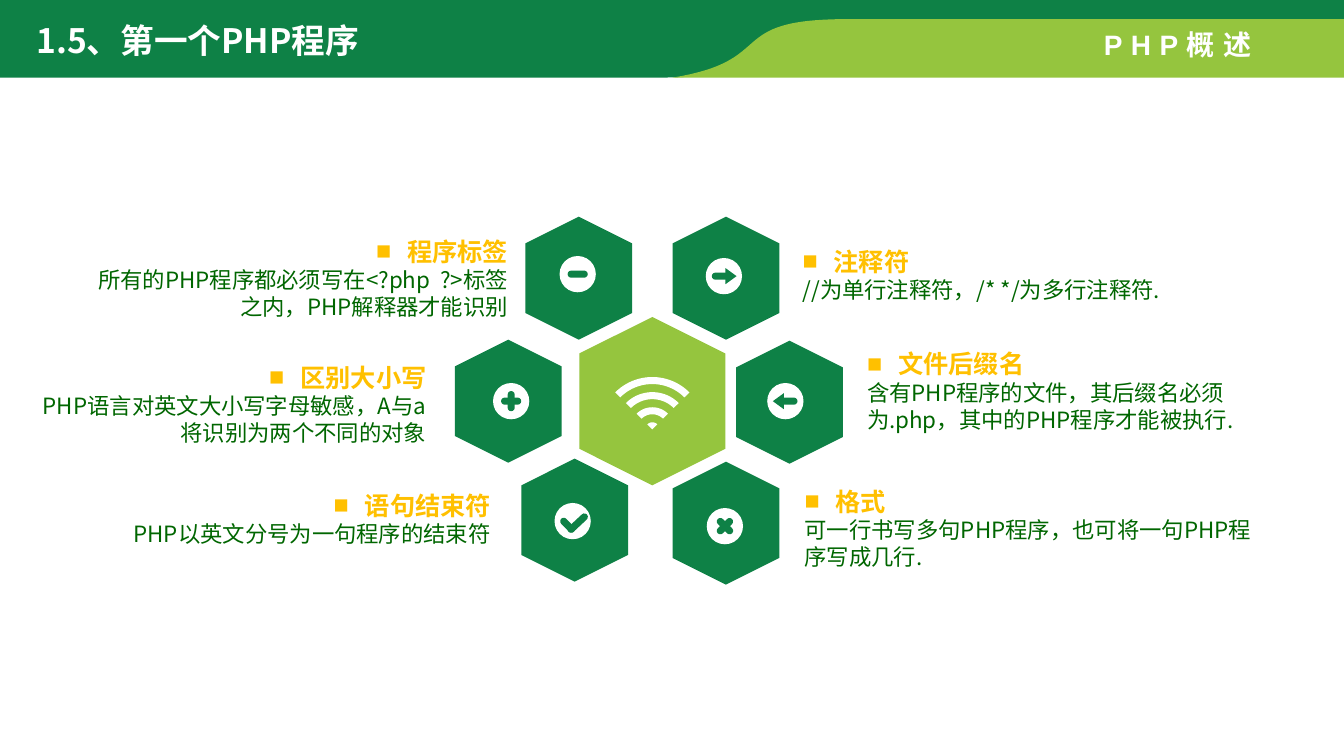
import math
import lxml.etree
import pptx
import pptx.dml.color
import pptx.enum.shapes
import pptx.enum.text
import pptx.oxml.ns
import pptx.util

Inches = pptx.util.Inches
SHAPE = pptx.enum.shapes.MSO_SHAPE
ALIGN = pptx.enum.text.PP_ALIGN
qn = pptx.oxml.ns.qn

# Content
COLORS = {"green": "0E8146", "lime": "95C53E", "white": "FFFFFF",
          "amber": "FFC000", "body": "006600"}
CJK_FONT = "Noto Sans CJK SC"
TITLE = "1.5、第一个PHP程序"
CHAPTER = "PHP概述"

# heading, heading font, body, text box (left, top, width, height), alignment
RULES = [
    ("程序标签", "Calibri", "所有的PHP程序都必须写在<?php  ?>标签之内，PHP解释器才能识别",
     (0.67, 2.27, 4.5, 0.98), ALIGN.RIGHT),
    ("区别大小写", "Arial", "PHP语言对英文大小写字母敏感，A与a将识别为两个不同的对象",
     (0.1, 3.52, 4.26, 0.98), ALIGN.RIGHT),
    ("语句结束符", "Arial", "PHP以英文分号为一句程序的结束符",
     (1.07, 4.79, 3.93, 0.71), ALIGN.RIGHT),
    ("文件后缀名", CJK_FONT, "含有PHP程序的文件，其后缀名必须为.php，其中的PHP程序才能被执行.",
     (8.47, 3.39, 3.93, 0.98), ALIGN.LEFT),
    ("注释符", CJK_FONT, "//为单行注释符，/* */为多行注释符.",
     (7.83, 2.37, 3.93, 0.71), ALIGN.LEFT),
    ("格式", CJK_FONT, "可一行书写多句PHP程序，也可将一句PHP程序写成几行.",
     (7.85, 4.75, 4.77, 0.98), ALIGN.LEFT),
]

# hexagon centre, badge centre, glyph
HEXAGONS = [
    ((5.04, 3.98), (5.07, 3.98), "plus"),
    ((7.2, 5.19), (7.19, 5.22), "cross"),
    ((5.7, 5.16), (5.68, 5.17), "check"),
    ((7.2, 2.76), (7.18, 2.74), "right"),
    ((7.83, 3.99), (7.79, 3.98), "left"),
    ((5.74, 2.76), (5.73, 2.72), "minus"),
]
# glyph strokes: x and y offset from the badge centre, length, angle
STROKES = {
    "minus": [(0, 0, 0.2, 0)],
    "plus": [(0, 0, 0.2, 0), (0, 0, 0.2, 90)],
    "cross": [(0, 0, 0.2, 45), (0, 0, 0.2, -45)],
    "check": [(-0.05, 0.04, 0.18, 45), (0.05, 0.02, 0.25, -43)],
    "right": [(-0.03, 0, 0.18, 0)],
    "left": [(0.03, 0, 0.18, 0)],
}
ARROWHEADS = {"right": (0.07, 90), "left": (-0.07, -90)}
HUB = (6.47, 3.98)
SIGNAL_ORIGIN = (6.47, 4.26)
SIGNAL_BANDS = [(0.52, 0.45), (0.37, 0.3), (0.22, 0.15), (0.07, 0)]

deck = pptx.Presentation()
deck.slide_width, deck.slide_height = Inches(13.33), Inches(7.5)
slide = deck.slides.add_slide(deck.slide_layouts[5])


def rgb(name):
    return pptx.dml.color.RGBColor.from_string(COLORS[name])


def paint(shape, color):
    shape.shadow.inherit = False
    shape.fill.solid()
    shape.fill.fore_color.rgb = rgb(color)
    shape.line.fill.background()


def centred(kind, centre, width, height, color, angle=0):
    shape = slide.shapes.add_shape(
        kind, Inches(centre[0] - width / 2), Inches(centre[1] - height / 2),
        Inches(width), Inches(height))
    shape.rotation = angle
    paint(shape, color)
    return shape


def outline(points, color):
    corners = [(Inches(x), Inches(y)) for x, y in points]
    builder = slide.shapes.build_freeform(*corners[0])
    builder.add_line_segments(corners[1:], close=True)
    paint(builder.convert_to_shape(), color)


def curve(*controls, steps=32):
    def at(t):
        weights = [math.comb(3, i) * t ** i * (1 - t) ** (3 - i) for i in range(4)]
        return tuple(sum(w * c[axis] for w, c in zip(weights, controls))
                     for axis in (0, 1))
    return [at(i / steps) for i in range(steps + 1)]


def arc(radius):
    angles = [math.radians(225 + 90 * i / 24) for i in range(25)]
    return [(SIGNAL_ORIGIN[0] + radius * math.cos(a),
             SIGNAL_ORIGIN[1] + radius * math.sin(a)) for a in angles]


def write(paragraph, text, *, size, color, font=CJK_FONT, bold=False,
          align=ALIGN.LEFT, spacing=None, bullet=None):
    paragraph.alignment = align
    run = paragraph.add_run()
    run.text = text
    run.font.size, run.font.bold = pptx.util.Pt(size), bold
    run.font.name, run.font.color.rgb = font, rgb(color)
    properties = run._r.get_or_add_rPr()
    lxml.etree.SubElement(properties, qn("a:ea"), typeface=CJK_FONT)
    if spacing:
        properties.set("spc", str(spacing * 100))
    if bullet:
        layout = paragraph._p.get_or_add_pPr()
        layout.set("marL", str(Inches(0.31)))
        layout.set("indent", str(Inches(-0.31)))
        lxml.etree.SubElement(layout, qn("a:buFont"), typeface="Arial")
        lxml.etree.SubElement(layout, qn("a:buChar"), char=bullet)


def place(shape, box):
    shape.left, shape.top, shape.width, shape.height = map(Inches, box)


def set_frame(frame, side, edge, wrap=True):
    frame.margin_left = frame.margin_right = Inches(side)
    frame.margin_top = frame.margin_bottom = Inches(edge)
    frame.word_wrap = wrap
    frame.auto_size = pptx.enum.text.MSO_AUTO_SIZE.NONE
    frame.vertical_anchor = pptx.enum.text.MSO_ANCHOR.TOP


# Header bands
outline([(0, 0), (13.33, 0), (13.33, 0.24), (8.27, 0.24)]
        + curve((8.09, 0.28), (7.27, 0.44), (7.7, 0.77), (6.55, 0.77))
        + [(0, 0.77)], "green")
outline([(13.33, 0.19), (13.33, 0.77)]
        + curve((6.67, 0.77), (7.73, 0.6), (7.17, 0.19), (8.39, 0.19)), "lime")

# Title and chapter name, in front of the bands
title = slide.shapes.title
title.element.getparent().append(title.element)
place(title, (0.26, 0.15, 3.77, 0.5))
set_frame(title.text_frame, 0.1, 0.05)
write(title.text_frame.paragraphs[0], TITLE, size=24, color="white", bold=True)

chapter = slide.shapes.add_textbox(*map(Inches, (10.85, 0.22, 1.76, 0.44)))
set_frame(chapter.text_frame, 0.1, 0.05, wrap=False)
write(chapter.text_frame.paragraphs[0], CHAPTER, size=20, color="white",
      font="Arial", bold=True, spacing=6)

# Central hexagon with signal waves
centred(SHAPE.HEXAGON, HUB, 1.67, 1.45, "lime", 90)
for outer, inner in SIGNAL_BANDS:
    outline(arc(outer) + (arc(inner)[::-1] if inner else [SIGNAL_ORIGIN]), "white")

# Surrounding hexagons with badges
for centre, badge, glyph in HEXAGONS:
    centred(SHAPE.HEXAGON, centre, 1.22, 1.06, "green", 90)
    centred(SHAPE.OVAL, badge, 0.36, 0.36, "white")
    for dx, dy, length, angle in STROKES[glyph]:
        stroke = centred(SHAPE.ROUNDED_RECTANGLE, (badge[0] + dx, badge[1] + dy),
                         length, 0.07, "green", angle)
        stroke.adjustments[0] = 0.5
    if glyph in ARROWHEADS:
        dx, angle = ARROWHEADS[glyph]
        centred(SHAPE.ISOSCELES_TRIANGLE, (badge[0] + dx, badge[1]),
                0.16, 0.11, "green", angle)

# Rule descriptions
for heading, font, body, box, align in RULES:
    frame = slide.shapes.add_textbox(*map(Inches, box)).text_frame
    set_frame(frame, 0.13, 0.07)
    write(frame.paragraphs[0], heading, size=18, color="amber", font=font,
          bold=True, align=align, bullet="■")
    write(frame.add_paragraph(), body, size=16, color="body", align=align)

deck.save("out.pptx")
